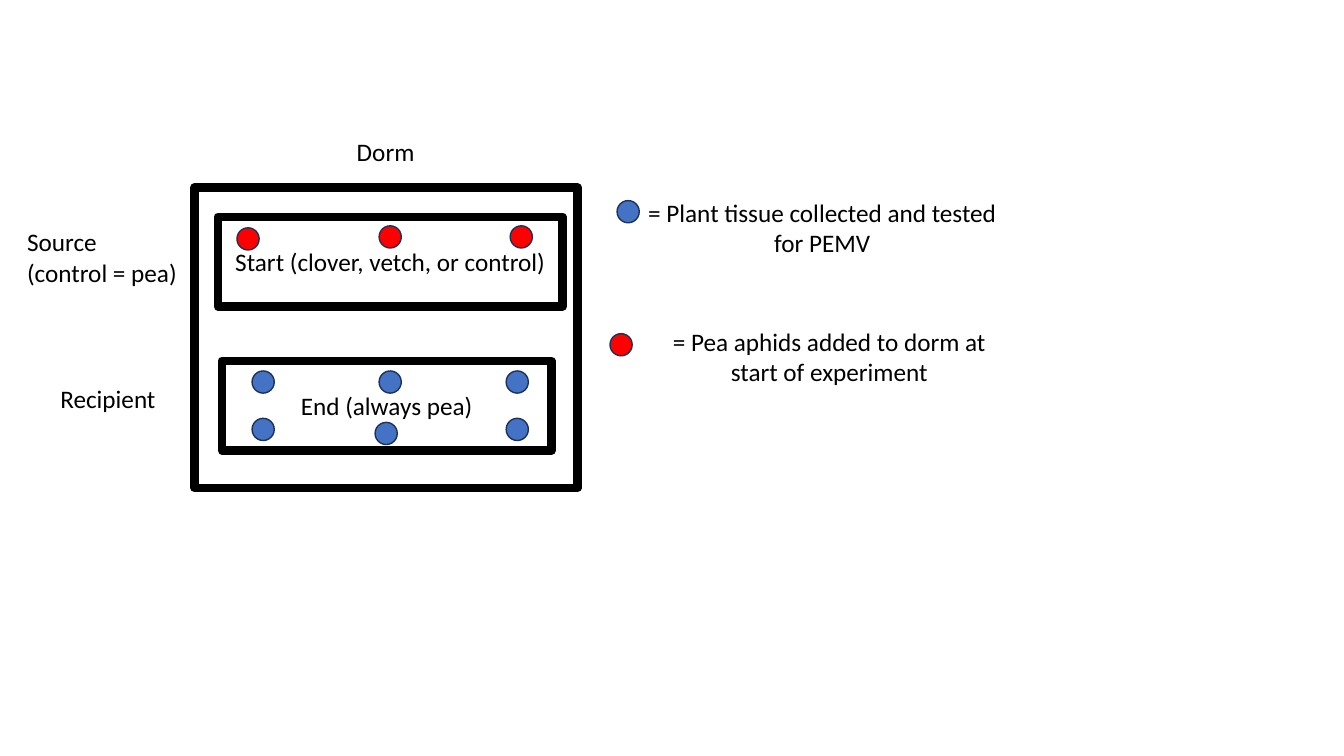
from dataclasses import dataclass

import pptx
import pptx.dml.color
import pptx.enum.shapes
import pptx.enum.text
import pptx.util

Inches = pptx.util.Inches
Pt = pptx.util.Pt
SHAPE = pptx.enum.shapes.MSO_SHAPE
ALIGN = pptx.enum.text.PP_ALIGN
ANCHOR = pptx.enum.text.MSO_ANCHOR

BLACK, WHITE = "000000", "FFFFFF"
TISSUE, APHID, DOT_EDGE = "4472C4", "FF0000", "1E3256"
DOT_SIZE = 0.22


@dataclass
class Tray:
    left: float
    top: float
    width: float
    height: float
    text: str = ""


@dataclass
class Dot:
    left: float
    top: float
    color: str


@dataclass
class Label:
    left: float
    top: float
    width: float
    height: float
    lines: tuple[str, ...]
    align: ALIGN = ALIGN.LEFT


def rgb(color: str) -> pptx.dml.color.RGBColor:
    return pptx.dml.color.RGBColor.from_string(color)


def write(tf, lines: tuple[str, ...], align: ALIGN) -> None:
    tf.word_wrap = True
    for i, line in enumerate(lines):
        p = tf.add_paragraph() if i else tf.paragraphs[0]
        p.alignment = align
        r = p.add_run()
        r.text = line
        r.font.name = "Calibri"
        r.font.size = Pt(18)
        r.font.color.rgb = rgb(BLACK)


def add_outlined(s, kind: SHAPE, box: tuple[float, ...], fill: str, line: str, weight: float):
    sp = s.shapes.add_shape(kind, *map(Inches, box))
    sp.shadow.inherit = False
    sp.fill.solid()
    sp.fill.fore_color.rgb = rgb(fill)
    sp.line.color.rgb = rgb(line)
    sp.line.width = Pt(weight)
    return sp


def add_tray(s, tray: Tray) -> None:
    box = (tray.left, tray.top, tray.width, tray.height)
    sp = add_outlined(s, SHAPE.RECTANGLE, box, WHITE, BLACK, 6)
    if tray.text:
        sp.text_frame.vertical_anchor = ANCHOR.MIDDLE
        write(sp.text_frame, (tray.text,), ALIGN.CENTER)


def add_dot(s, dot: Dot) -> None:
    box = (dot.left, dot.top, DOT_SIZE, DOT_SIZE)
    add_outlined(s, SHAPE.OVAL, box, dot.color, DOT_EDGE, 1)


def add_label(s, label: Label) -> None:
    box = (label.left, label.top, label.width, label.height)
    sp = s.shapes.add_textbox(*map(Inches, box))
    write(sp.text_frame, label.lines, label.align)
    sp.text_frame.auto_size = pptx.enum.text.MSO_AUTO_SIZE.SHAPE_TO_FIT_TEXT


trays = [
    Tray(1.93, 1.86, 3.8, 2.98),
    Tray(2.16, 2.15, 3.42, 0.89, "Start (clover, vetch, or control)"),
    Tray(2.2, 3.58, 3.27, 0.89, "End (always pea)"),
]
tissue_spots = [(2.5 + 1.26 * i, 3.68) for i in range(3)]
tissue_spots += [(2.5, 4.15), (3.72, 4.19), (5.02, 4.15)]
aphid_spots = [(2.35, 2.26), (3.76, 2.24), (5.06, 2.24)]
tissue_key, aphid_key = (6.12, 1.99), (6.05, 3.31)
dots = [Dot(x, y, TISSUE) for x, y in [tissue_key, *tissue_spots]]
dots += [Dot(x, y, APHID) for x, y in [*aphid_spots, aphid_key]]
labels = [
    Label(6.27, 1.91, 3.77, 0.71, ("= Plant tissue collected and tested for PEMV",), ALIGN.CENTER),
    Label(6.34, 3.19, 3.77, 0.71, ("= Pea aphids added to dorm at start of experiment",), ALIGN.CENTER),
    Label(3.44, 1.3, 0.87, 0.4, ("Dorm",)),
    Label(0.17, 2.2, 1.78, 0.71, ("Source", "(control = pea)")),
    Label(0.5, 3.75, 1.22, 0.4, ("Recipient",)),
]

prs = pptx.Presentation()
prs.slide_width, prs.slide_height = Inches(13.33), Inches(7.5)
s = prs.slides.add_slide(prs.slide_layouts[6])
for tray in trays:
    add_tray(s, tray)
for dot in dots:
    add_dot(s, dot)
for label in labels:
    add_label(s, label)
prs.save("out.pptx")
